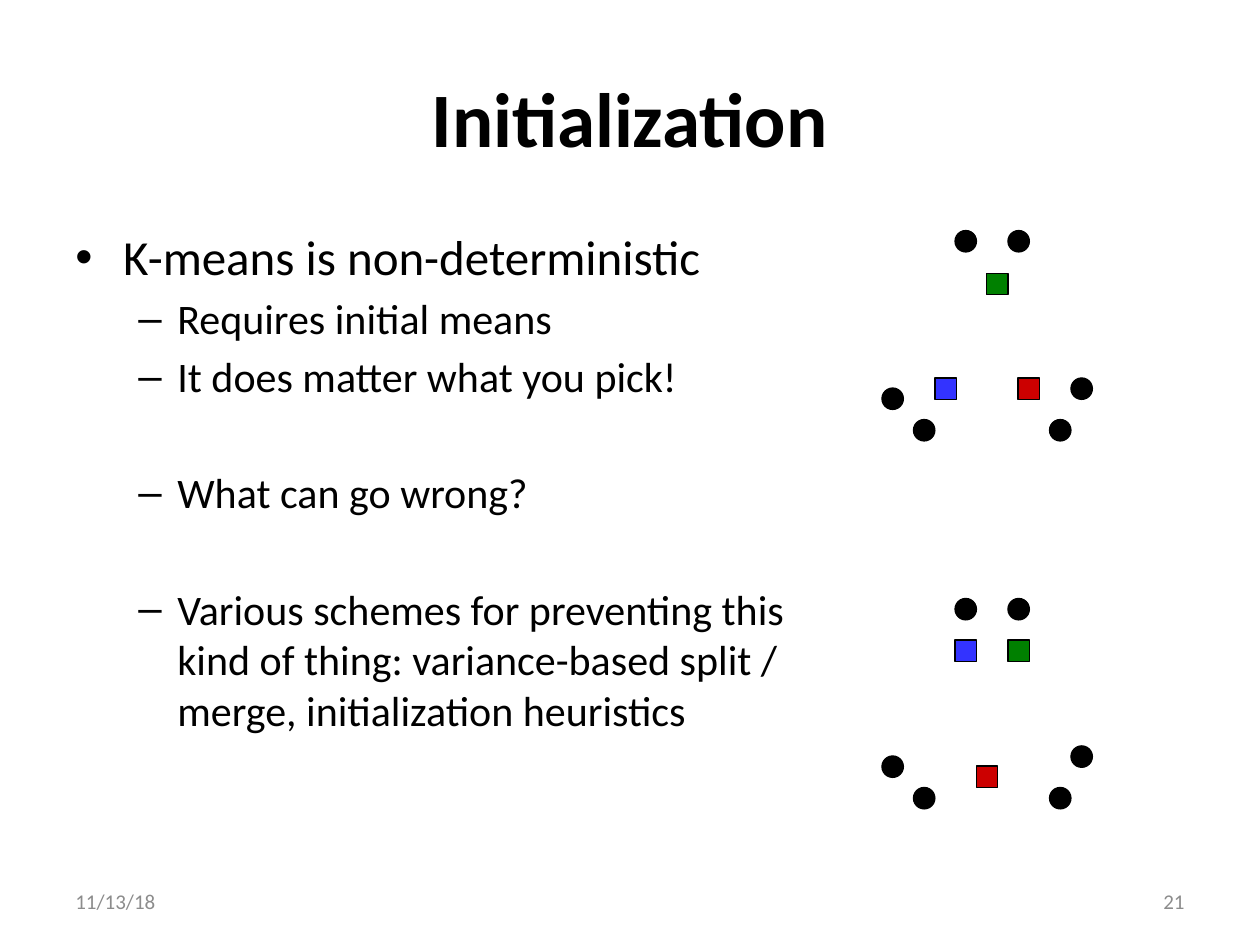
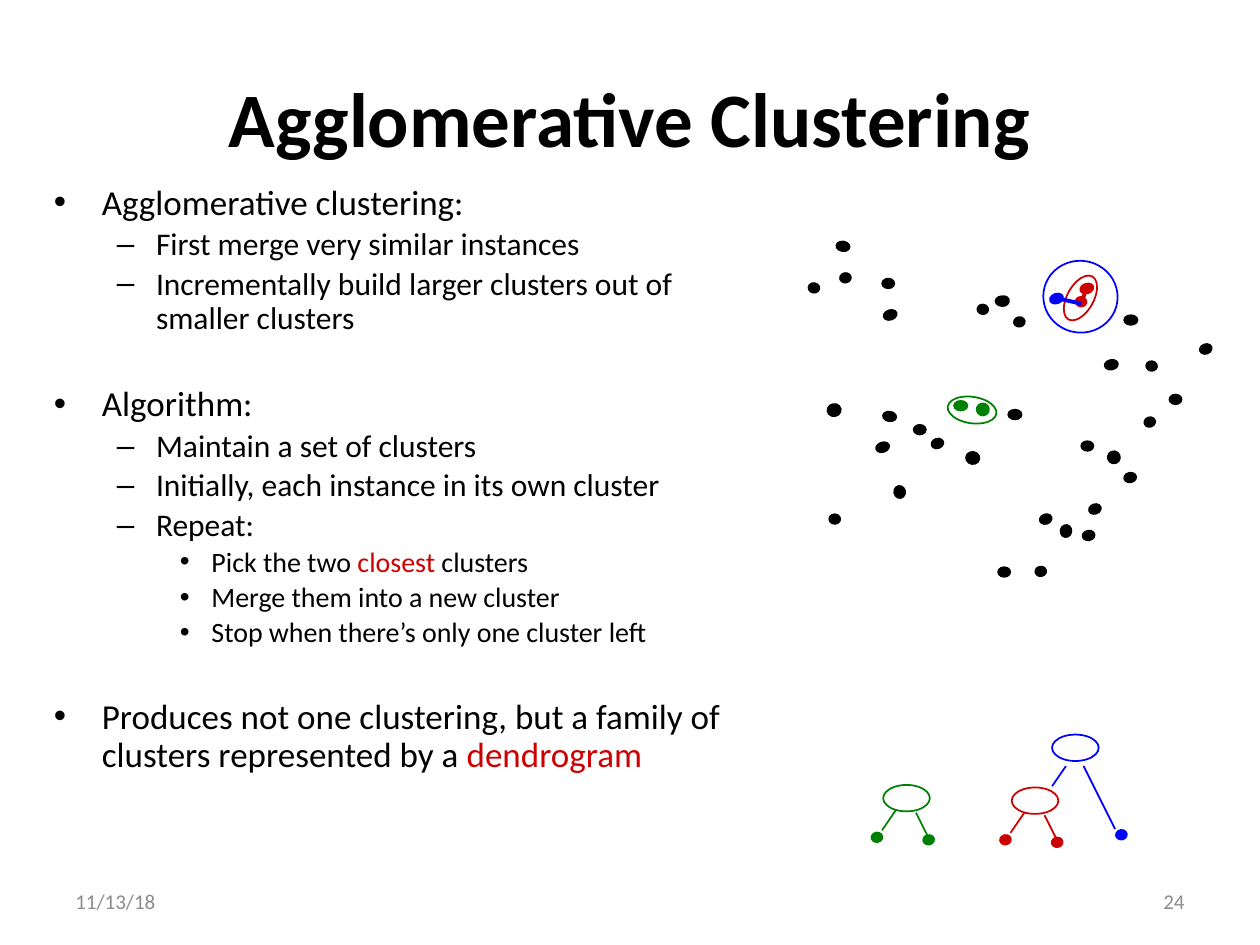
from dataclasses import dataclass, field
from typing import NamedTuple, Optional

from lxml import etree
from pptx import Presentation
from pptx.dml.color import RGBColor
from pptx.enum.shapes import MSO_CONNECTOR, MSO_SHAPE
from pptx.enum.text import MSO_ANCHOR as Anchor, PP_ALIGN as Align
from pptx.oxml.ns import qn
from pptx.util import Inches, Pt


# Theme and shared measures
@dataclass(frozen=True)
class Theme:
    font: str = "Calibri"
    black: RGBColor = RGBColor.from_string("000000")
    grey: RGBColor = RGBColor.from_string("8C8C8C")
    red: RGBColor = RGBColor.from_string("CC0000")
    green: RGBColor = RGBColor.from_string("008000")
    blue: RGBColor = RGBColor.from_string("0000FF")
    mean_blue: RGBColor = RGBColor.from_string("3333FF")
    title_size: float = 44
    footer_size: float = 12
    outline: float = 0.75
    ring_line: float = 1
    merge_line: float = 2.25


THEME = Theme()
LINE_HEIGHT = 1.22     # Calibri line height, in ems
SPACE_BEFORE = 0.175   # space above each paragraph, in ems
MARKER = 0.17          # side of a point or mean in the k-means panels


class Box(NamedTuple):
    left: float
    top: float
    width: float
    height: float
    rotation: float = 0


class Link(NamedTuple):
    x1: float
    y1: float
    x2: float
    y2: float
    weight: float = THEME.ring_line


class Run(NamedTuple):
    text: str
    color: RGBColor = THEME.black


class Level(NamedTuple):
    margin: float
    hanging: float
    bullet: str


class Item(NamedTuple):
    level: int
    runs: list[Run]
    gap_before: bool = False


class Mean(NamedTuple):
    left: float
    top: float
    color: RGBColor


@dataclass(frozen=True)
class Cluster:
    color: RGBColor
    dots: list[Box]
    rings: list[Box] = field(default_factory=list)
    links: list[Link] = field(default_factory=list)


LEVELS = [Level(0.38, 0.38, "•"), Level(0.81, 0.31, "–"), Level(1.25, 0.25, "•")]
TITLE_BOX = Box(0.5, 0.3, 9, 1.25)
DATE_BOX = Box(0.5, 6.95, 2.33, 0.4)
NUMBER_BOX = Box(7.17, 6.95, 2.33, 0.4)


# Drawing functions
def add_run(paragraph, run: Run, size: float, bold: bool = False) -> None:
    text_run = paragraph.add_run()
    text_run.text = run.text
    text_run.font.name = THEME.font
    text_run.font.size = Pt(size)
    text_run.font.bold = bold
    text_run.font.color.rgb = run.color


def add_frame(slide, box: Box, anchor: Anchor):
    shape = slide.shapes.add_textbox(*map(Inches, box[:4]))
    frame = shape.text_frame
    frame.word_wrap = True
    frame.vertical_anchor = anchor
    return frame


def add_label(slide, box: Box, run: Run, size: float, align: Align, bold: bool = False) -> None:
    paragraph = add_frame(slide, box, Anchor.MIDDLE).paragraphs[0]
    paragraph.alignment = align
    add_run(paragraph, run, size, bold)


def set_bullet(paragraph, level: Level) -> None:
    properties = paragraph._p.get_or_add_pPr()
    properties.set("marL", str(Inches(level.margin)))
    properties.set("indent", str(-Inches(level.hanging)))
    etree.SubElement(properties, qn("a:buFont")).set("typeface", "Arial")
    etree.SubElement(properties, qn("a:buChar")).set("char", level.bullet)


def add_outline(slide, box: Box, items: list[Item], sizes: list[float],
                line_spacing: float = 1.0) -> None:
    frame = add_frame(slide, box, Anchor.TOP)
    for index, item in enumerate(items):
        paragraph = frame.paragraphs[0] if index == 0 else frame.add_paragraph()
        size = sizes[item.level]
        space = SPACE_BEFORE * size
        if item.gap_before:
            space += (LINE_HEIGHT * line_spacing + SPACE_BEFORE) * size
        paragraph.space_before = Pt(space)
        paragraph.line_spacing = line_spacing
        set_bullet(paragraph, LEVELS[item.level])
        for run in item.runs:
            add_run(paragraph, run, size)


def add_marker(shapes, kind: MSO_SHAPE, box: Box, line: RGBColor,
               fill: Optional[RGBColor] = None, weight: float = THEME.outline) -> None:
    shape = shapes.add_shape(kind, *map(Inches, box[:4]))
    shape.rotation = box.rotation
    shape.shadow.inherit = False
    if fill is None:
        shape.fill.background()
    else:
        shape.fill.solid()
        shape.fill.fore_color.rgb = fill
    shape.line.color.rgb = line
    shape.line.width = Pt(weight)


def add_link(shapes, link: Link, color: RGBColor) -> None:
    connector = shapes.add_connector(MSO_CONNECTOR.STRAIGHT, *map(Inches, link[:4]))
    connector.line.color.rgb = color
    connector.line.width = Pt(link.weight)
    etree.SubElement(connector._element.spPr, qn("a:effectLst"))


def add_cluster(slide, cluster: Cluster) -> None:
    shapes = slide.shapes.add_group_shape().shapes
    for dot in cluster.dots:
        add_marker(shapes, MSO_SHAPE.OVAL, dot, cluster.color, cluster.color)
    for ring in cluster.rings:
        add_marker(shapes, MSO_SHAPE.OVAL, ring, cluster.color, weight=THEME.ring_line)
    for link in cluster.links:
        add_link(shapes, link, cluster.color)


def add_slide(presentation, title: str, number: str):
    slide = presentation.slides.add_slide(presentation.slide_layouts[6])
    add_label(slide, TITLE_BOX, Run(title), THEME.title_size, Align.CENTER, bold=True)
    add_label(slide, DATE_BOX, Run("11/13/18", THEME.grey), THEME.footer_size, Align.LEFT)
    add_label(slide, NUMBER_BOX, Run(number, THEME.grey), THEME.footer_size, Align.RIGHT)
    return slide


# Initialization: the same points with good and bad starting means
INITIALIZATION_ITEMS = [
    Item(0, [Run("K-means is non-deterministic")]),
    Item(1, [Run("Requires initial means")]),
    Item(1, [Run("It does matter what you pick!")]),
    Item(1, [Run("What can go wrong?")], gap_before=True),
    Item(1, [Run("Various schemes for preventing this kind of thing: variance-based split / "
                 "merge, initialization heuristics")], gap_before=True),
]
POINTS = [(7, 3.08), (7.25, 3.33), (8, 1.83), (8.33, 3.33), (8.5, 3), (7.58, 1.83)]
PANELS = {
    0: [Mean(8.08, 3, THEME.red), Mean(7.42, 3, THEME.mean_blue),
        Mean(7.83, 2.17, THEME.green)],
    2.92: [Mean(7.75, 6.08, THEME.red), Mean(7.58, 5.08, THEME.mean_blue),
           Mean(8, 5.08, THEME.green)],
}


def build_initialization(presentation) -> None:
    slide = add_slide(presentation, "Initialization", "21")
    add_outline(slide, Box(0.5, 1.75, 5.83, 4.95), INITIALIZATION_ITEMS, [28, 24])
    for drop, means in PANELS.items():
        for left, top in POINTS:
            add_marker(slide.shapes, MSO_SHAPE.OVAL, Box(left, top + drop, MARKER, MARKER),
                       THEME.black, THEME.black)
        for mean in means:
            add_marker(slide.shapes, MSO_SHAPE.RECTANGLE,
                       Box(mean.left, mean.top, MARKER, MARKER), THEME.black, mean.color)


# Agglomerative clustering: scattered instances, merged clusters, dendrogram
AGGLOMERATIVE_ITEMS = [
    Item(0, [Run("Agglomerative clustering:")]),
    Item(1, [Run("First merge very similar instances")]),
    Item(1, [Run("Incrementally build larger clusters out of smaller clusters")]),
    Item(0, [Run("Algorithm:")], gap_before=True),
    Item(1, [Run("Maintain a set of clusters")]),
    Item(1, [Run("Initially, each instance in its own cluster")]),
    Item(1, [Run("Repeat:")]),
    Item(2, [Run("Pick the two "), Run("closest ", THEME.red), Run("clusters")]),
    Item(2, [Run("Merge them into a new cluster")]),
    Item(2, [Run("Stop when there’s only one cluster left")]),
    Item(0, [Run("Produces not one clustering, but a family of clusters represented by a "),
             Run("dendrogram", THEME.red)], gap_before=True),
]

# Tilt of the dots, then left, top, width and height of each
INSTANCES = {
    0: [(7.25, 3.37, 0.1, 0.08), (9.28, 3.13, 0.1, 0.08), (7.92, 4.5, 0.1, 0.08),
        (8, 3.25, 0.11, 0.08), (7.9, 2.35, 0.1, 0.08), (7, 2.21, 0.1, 0.08),
        (6.58, 4.08, 0.09, 0.08), (8.58, 3.5, 0.1, 0.08), (8.92, 2.5, 0.11, 0.08)],
    341.4: [(9.52, 2.73, 0.1, 0.08), (8.25, 4.08, 0.1, 0.08), (8.64, 4, 0.1, 0.08),
            (6.95, 3.51, 0.11, 0.08), (7.92, 2.35, 0.09, 0.08), (7.01, 2.46, 0.11, 0.08),
            (7.39, 3.48, 0.1, 0.08), (9.08, 3.31, 0.09, 0.08)],
    98.3: [(6.42, 2.24, 0.08, 0.09), (7.67, 3.58, 0.1, 0.11), (7.02, 3.25, 0.08, 0.11),
           (7.76, 2.41, 0.08, 0.09), (8.79, 3.58, 0.1, 0.1), (9.1, 2.86, 0.08, 0.09),
           (6.65, 1.9, 0.08, 0.11), (8.41, 4.17, 0.1, 0.09)],
    79.6: [(8.22, 4.49, 0.08, 0.09), (6.57, 3.2, 0.1, 0.11), (7.09, 3.86, 0.1, 0.09),
           (6.67, 2.16, 0.08, 0.09), (8.93, 3.74, 0.08, 0.1), (8.78, 2.84, 0.08, 0.11),
           (8.05, 2.51, 0.08, 0.09), (8.6, 4.2, 0.08, 0.1)],
}


def leaf(left: float, top: float) -> Box:
    return Box(left, top, 0.08, 0.09, 79.6)


def node(left: float, top: float) -> Box:
    return Box(left, top, 0.37, 0.21)


def pair_tree(color: RGBColor, left: float, top: float) -> Cluster:
    return Cluster(color, [leaf(left + 0.32, top + 0.39), leaf(left - 0.09, top + 0.37)],
                   [node(left, top)],
                   [Link(left - 0.01, top + 0.36, left + 0.1, top + 0.2),
                    Link(left + 0.26, top + 0.22, left + 0.36, top + 0.42)])


CLUSTERS = [
    pair_tree(THEME.green, 7.01, 6.23),
    pair_tree(THEME.red, 8.03, 6.25),
    Cluster(THEME.blue, [leaf(8.86, 6.58)], [node(8.35, 5.83)],
            [Link(8.35, 6.24, 8.46, 6.08), Link(8.6, 6.08, 8.85, 6.58)]),
    Cluster(THEME.black, [Box(*dot, tilt) for tilt, dots in INSTANCES.items() for dot in dots]),
    Cluster(THEME.red, [Box(8.57, 2.25, 0.11, 0.08, 341.4), Box(8.54, 2.35, 0.08, 0.09, 98.3)],
            [Box(8.38, 2.26, 0.39, 0.21, 299.1)],
            [Link(8.58, 2.4, 8.61, 2.33, THEME.merge_line)]),
    Cluster(THEME.green, [Box(7.57, 3.18, 0.11, 0.08), Box(7.75, 3.2, 0.1, 0.1, 79.6)],
            [Box(7.52, 3.15, 0.39, 0.21, 8.3)],
            [Link(7.62, 3.23, 7.67, 3.24, THEME.merge_line)]),
    Cluster(THEME.blue, [Box(8.33, 2.33, 0.11, 0.08, 341.4)],
            [Box(8.28, 2.07, 0.59, 0.57, 8.3)],
            [Link(8.4, 2.37, 8.58, 2.41, THEME.merge_line)]),
]


def build_agglomerative(presentation) -> None:
    slide = add_slide(presentation, "Agglomerative Clustering", "24")
    add_outline(slide, Box(0.33, 1.42, 5.75, 5.33), AGGLOMERATIVE_ITEMS, [20, 18, 16], 0.9)
    for cluster in CLUSTERS:
        add_cluster(slide, cluster)


def main() -> None:
    presentation = Presentation()
    presentation.slide_width = Inches(10)
    presentation.slide_height = Inches(7.5)
    build_initialization(presentation)
    build_agglomerative(presentation)
    presentation.save("out.pptx")


if __name__ == "__main__":
    main()
